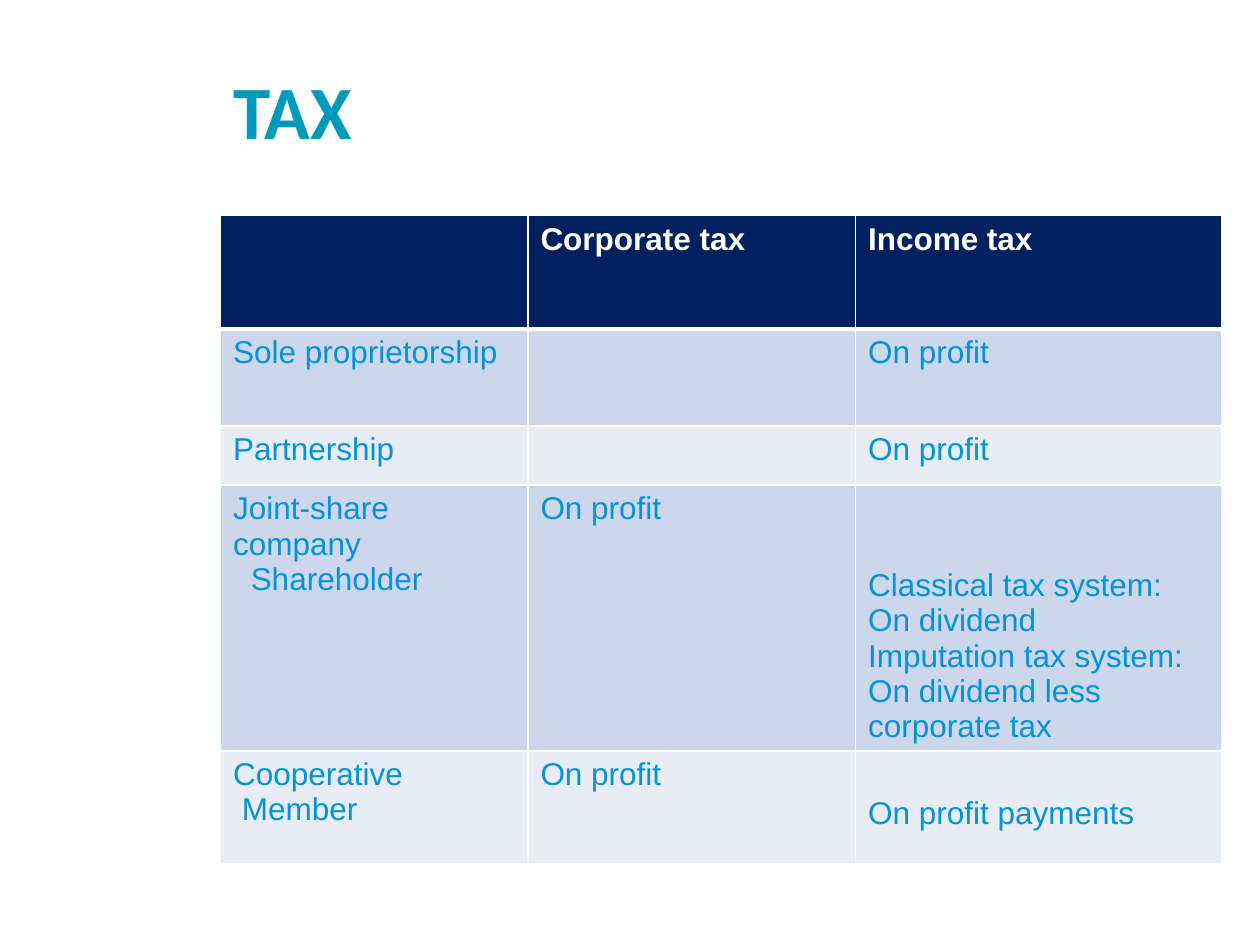
import pptx
import pptx.util
import pptx.dml.color
import pptx.enum.text
import pptx.oxml
import pptx.oxml.ns
from pptx.util import Inches, Pt

COLORS = {"title": "0099B9", "header": "002060", "text": "0093D7",
          "odd": "CCD7EB", "even": "E7ECF5", "white": "FFFFFF"}
TITLE = "TAX"
ROWS = [
    [[], ["Corporate tax"], ["Income tax"]],
    [["Sole proprietorship"], [], ["On profit"]],
    [["Partnership"], [], ["On profit"]],
    [["Joint-share company", "Shareholder"], ["On profit"],
     ["Classical tax system: On dividend", "Imputation tax system:",
      "On dividend less corporate tax"]],
    [["Cooperative", "Member"], ["On profit"], ["On profit payments"]],
]
COL_WIDTHS = [2.44, 2.6, 2.91]
ROW_HEIGHTS = [0.9, 0.77, 0.47, 2.11, 0.9]
TOP_MARGINS = {(3, 2): 0.66, (4, 2): 0.36}
INDENTS = {"Shareholder": 0.14, "Member": 0.07}


def rgb(name):
    return pptx.dml.color.RGBColor.from_string(COLORS[name])


def set_borders(cell, widths):
    tcPr = cell._tc.get_or_add_tcPr()
    for i, (side, width) in enumerate(widths.items()):
        tcPr.insert(i, pptx.oxml.parse_xml(
            f'<a:ln{side} {pptx.oxml.ns.nsdecls("a")} w="{Pt(width)}">'
            f'<a:solidFill><a:srgbClr val="{COLORS["white"]}"/></a:solidFill></a:ln{side}>'))


def add_title(s):
    sp = s.shapes.title
    sp.left, sp.top, sp.width, sp.height = map(Inches, (1.85, 0.63, 7.87, 0.6))
    tf = sp.text_frame
    tf.margin_left = tf.margin_top = tf.margin_right = tf.margin_bottom = 0
    tf.vertical_anchor = pptx.enum.text.MSO_ANCHOR.TOP
    tf.text = TITLE
    p = tf.paragraphs[0]
    p.alignment = pptx.enum.text.PP_ALIGN.LEFT
    p.line_spacing = Pt(43)
    p.font.name, p.font.size, p.font.bold = "Calibri", Pt(43), True
    p.font.color.rgb = rgb("title")
    p.runs[0].font._element.set("spc", "30")


def fill_cell(cell, lines, row, col):
    header = row == 0
    cell.fill.solid()
    cell.fill.fore_color.rgb = rgb("header" if header else "odd" if row % 2 else "even")
    set_borders(cell, {"L": 1, "R": 1, "T": 3 if row == 1 else 1, "B": 3 if header else 1})
    cell.margin_top = Inches(TOP_MARGINS.get((row, col), 0.05))
    tf = cell.text_frame
    tf.text = "\n".join(lines)
    for p in tf.paragraphs:
        if p.text in INDENTS:
            p._p.get_or_add_pPr().set("marL", str(Inches(INDENTS[p.text])))
        p.font.name, p.font.size, p.font.bold = "Arial", Pt(18), header
        p.font.color.rgb = rgb("white" if header else "text")


def add_tax_table(s):
    table = s.shapes.add_table(
        len(ROWS), len(COL_WIDTHS), Inches(1.75), Inches(1.71),
        Inches(sum(COL_WIDTHS)), Inches(sum(ROW_HEIGHTS))).table
    for column, width in zip(table.columns, COL_WIDTHS):
        column.width = Inches(width)
    for row, height in zip(table.rows, ROW_HEIGHTS):
        row.height = Inches(height)
    for r, cells in enumerate(ROWS):
        for c, lines in enumerate(cells):
            fill_cell(table.cell(r, c), lines, r, c)


def main():
    prs = pptx.Presentation()
    prs.slide_width, prs.slide_height = Inches(10), Inches(7.5)
    s = prs.slides.add_slide(prs.slide_layouts[5])
    add_title(s)
    add_tax_table(s)
    prs.save("out.pptx")


if __name__ == "__main__":
    main()
